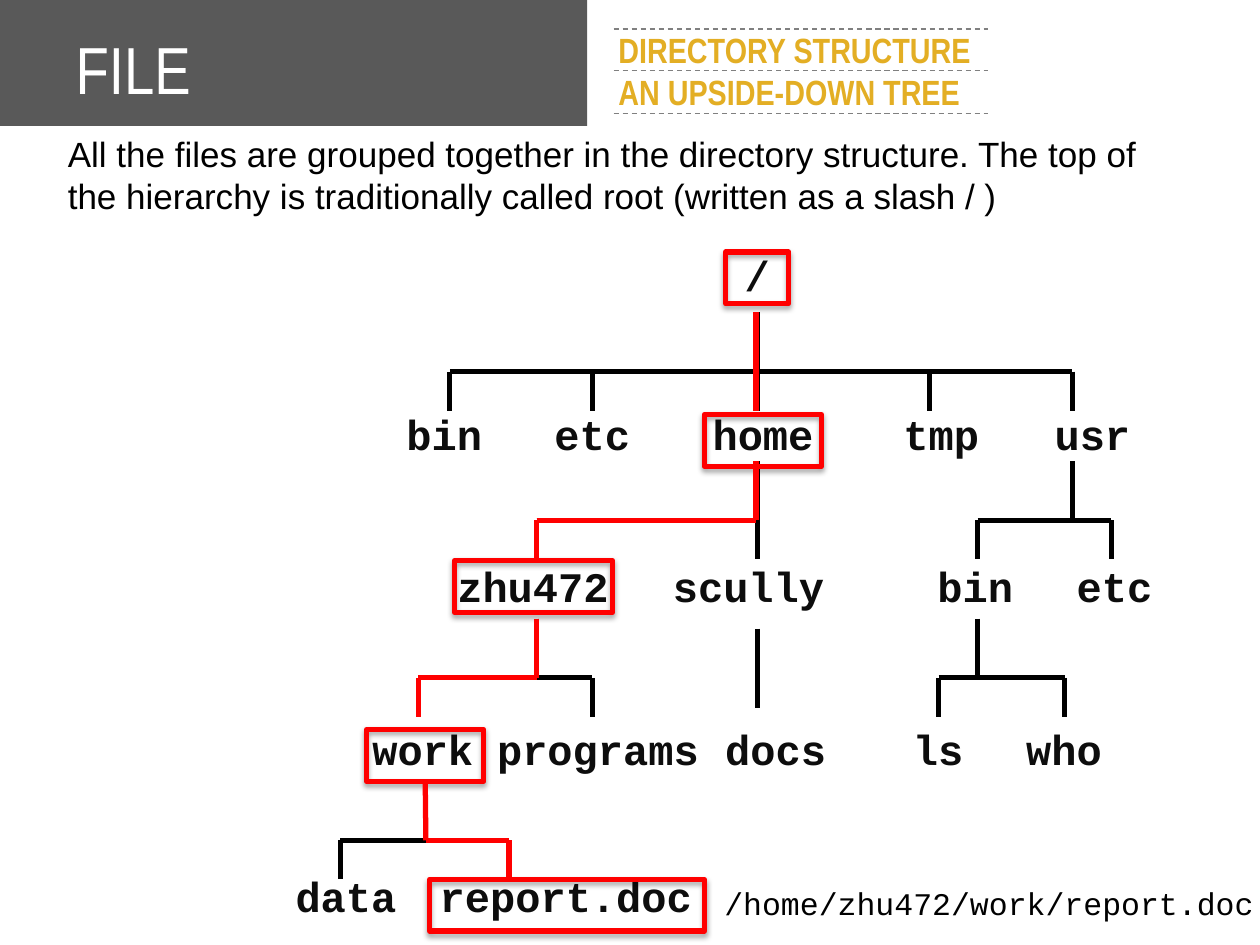
from dataclasses import dataclass

import pptx
import pptx.dml.color
import pptx.enum.dml
import pptx.enum.shapes
import pptx.enum.text
import pptx.oxml
import pptx.oxml.ns
import pptx.oxml.xmlchemy
import pptx.util

COLUMNS, ROWS = 100, 75  # grid over the whole slide
CELL = pptx.util.Inches(0.1)


@dataclass(frozen=True)
class Theme:
    band: str = "595959"
    rule: str = "808080"
    title: str = "FFFFFF"
    accent: str = "E3AE24"
    text: str = "000000"
    label: str = "0D0D0D"
    route: str = "FF0000"
    heading_font: str = "Arial Narrow"
    body_font: str = "Arial"
    code_font: str = "Courier New"
    title_size: int = 38
    body_size: int = 20
    label_size: int = 24
    path_size: int = 18
    stroke: float = 3
    thin: float = 0.75


THEME = Theme()

# Tree rows: label tops, then the top of the stem below each label
LABEL_TOPS = (0.3, 12.9, 25, 37.9, 49.6)
STEM_TOPS = (5.8, 17.6, 30.1, 43)
STEM, DROP = 4.7, 3.1
LABEL_HEIGHT, FRAME_HEIGHT = 5, 4.1

# Labels of each level: name, column, columns wide
LEVELS = (
    (("/", 38.6, 5),),
    (("bin", 10.8, 10.9), ("etc", 23, 10), ("home", 35.3, 12.5),
     ("tmp", 50.3, 10.8), ("usr", 61.9, 11.6)),
    (("zhu472", 13.8, 19), ("scully", 33, 14.8), ("bin", 54.4, 8),
     ("etc", 65.3, 8.3)),
    (("work", 6.1, 16.9), ("programs", 18.9, 19.1), ("docs", 37.3, 10.5),
     ("ls", 49.8, 11.3), ("who", 59.8, 11.3)),
    (("data", 0, 16.9), ("report.doc", 13.8, 24.2)),
)

# Branches: level, column of the stem, columns of the drops
BRANCHES = (
    (0, 41.1, (16.7, 28, 41.1, 54.8, 66.1)),
    (1, 41.1, (23.6, 41.1)),
    (1, 66.1, (58.6, 69.2)),
    (2, 23.6, (14.2, 28)),
    (2, 58.6, (55.5, 65.5)),
    (3, 14.8, (8, 21.4)),
)
ROUTE = ((0, 41, (41,)), (1, 41, (23.6,)), (2, 23.6, (14.2,)),
         (3, 14.8, (21.4,)))

# Frames along the route: name, column, row, columns wide
FRAMES = (("/", 38.6, 1, 5), ("home", 36.9, 13.9, 9.3),
          ("zhu472", 17.1, 25.5, 12.5), ("work", 10.1, 38.9, 9.3),
          ("report.doc", 15.1, 50.8, 21.8))


def place(box, column, row, *size):
    """Grid position inside a box, followed by an optional size, as lengths."""
    cells = (box[0] + column, box[1] + row, *size)
    return [round(cell * CELL) for cell in cells]


def rgb(color):
    return pptx.dml.color.RGBColor.from_string(color)


def write(shape, text, font, size, color, bold=False, align="LEFT"):
    frame = shape.text_frame
    frame.text = text
    frame.word_wrap = True
    frame.auto_size = pptx.enum.text.MSO_AUTO_SIZE.NONE
    for paragraph in frame.paragraphs:
        paragraph.alignment = getattr(pptx.enum.text.PP_ALIGN, align)
        for run in paragraph.runs:
            run.font.name, run.font.size = font, pptx.util.Pt(size)
            run.font.bold, run.font.color.rgb = bold, rgb(color)
    return frame


def add_line(slide, start, end, color, width=THEME.stroke, dash=None):
    line = slide.shapes.add_connector(
        pptx.enum.shapes.MSO_CONNECTOR.STRAIGHT, *start, *end)
    line.line.color.rgb = rgb(color)
    line.line.width = pptx.util.Pt(width)
    line.line.dash_style = dash
    line.element.spPr.append(pptx.oxml.xmlchemy.OxmlElement("a:effectLst"))
    return line


def add_rect(slide, bounds):
    rect = slide.shapes.add_shape(
        pptx.enum.shapes.MSO_SHAPE.RECTANGLE, *bounds)
    rect.shadow.inherit = False
    return rect


def add_header(slide, box):
    # Dark band behind the title
    band = add_rect(slide, place(box, 0, 0, 46.6, box[3]))
    band.fill.solid()
    band.fill.fore_color.rgb = rgb(THEME.band)
    band.line.fill.background()

    title = slide.shapes.title
    title.element.addprevious(band.element)
    title.left, title.top, title.width, title.height = place(
        box, 5, 1.8, 41.6, 7.2)
    frame = write(title, "FILE", THEME.heading_font, THEME.title_size,
                  THEME.title)
    frame.vertical_anchor = pptx.enum.text.MSO_ANCHOR.BOTTOM
    frame.paragraphs[0].line_spacing = 0.8

    # Subtitle on dashed rules
    for row in (2.3, 5.6, 9):
        add_line(slide, place(box, 48.7, row), place(box, 78.4, row),
                 THEME.rule, THEME.thin, pptx.enum.dml.MSO_LINE.DASH)
    subtitle = slide.shapes.add_textbox(*place(box, 48.1, 1.8, 47, 7.8))
    frame = write(subtitle, "DIRECTORY STRUCTURE\nAN UPSIDE-DOWN TREE",
                  THEME.heading_font, THEME.body_size, THEME.accent, True)
    for paragraph in frame.paragraphs:
        paragraph.line_spacing = pptx.util.Pt(24)


def add_text(slide, box, text, font, size):
    textbox = slide.shapes.add_textbox(*place(box, 0, 0, *box[2:]))
    write(textbox, text, font, size, THEME.text)


def add_branch(slide, box, level, stem, drops, color):
    """Draw stem, crossbar and drops; return the stem."""
    top = STEM_TOPS[level]
    bar = top + STEM
    trunk = add_line(slide, place(box, stem, top), place(box, stem, bar),
                     color)
    left, right = min(stem, *drops), max(stem, *drops)
    if left < right:
        add_line(slide, place(box, left, bar), place(box, right, bar), color)
    for drop in drops:
        add_line(slide, place(box, drop, bar), place(box, drop, bar + DROP),
                 color)
    return trunk


def add_frame(slide, box, column, row, width):
    frame = add_rect(slide, place(box, column, row, width, FRAME_HEIGHT))
    frame.fill.background()
    frame.line.color.rgb = rgb(THEME.route)
    frame.line.width = pptx.util.Pt(THEME.stroke)
    # Soft shadow straight down
    effects = frame.element.spPr.find(pptx.oxml.ns.qn("a:effectLst"))
    effects.append(pptx.oxml.parse_xml(
        f'<a:outerShdw {pptx.oxml.ns.nsdecls("a")} blurRad="39370" '
        'dist="22860" dir="5400000" rotWithShape="0">'
        '<a:srgbClr val="000000"><a:alpha val="35000"/></a:srgbClr>'
        '</a:outerShdw>'))
    return frame


def add_tree(slide, box):
    # Directory names
    for top, labels in zip(LABEL_TOPS, LEVELS):
        for name, column, width in labels:
            label = slide.shapes.add_textbox(
                *place(box, column, top, width, LABEL_HEIGHT))
            frame = write(label, name, THEME.code_font, THEME.label_size,
                          THEME.label, True, "CENTER")
            frame.margin_left = frame.margin_right = 0

    # Branches, and the single line from scully to docs
    for branch in BRANCHES:
        add_branch(slide, box, *branch, THEME.text)
    add_line(slide, place(box, 41.1, 30.9), place(box, 41.1, 37.2),
             THEME.text)

    # Highlighted route from the root to report.doc
    frames = {name: add_frame(slide, box, *bounds)
              for name, *bounds in FRAMES}
    stems = [add_branch(slide, box, *step, THEME.route) for step in ROUTE]
    stems[-1].begin_connect(frames["work"], 2)


def main():
    deck = pptx.Presentation()
    deck.slide_width, deck.slide_height = COLUMNS * CELL, ROWS * CELL
    slide = deck.slides.add_slide(deck.slide_layouts[5])
    add_header(slide, (0, 0, COLUMNS, 10))
    add_tree(slide, (19, 19, 74, 56))
    add_text(slide, (4.4, 10, 87.7, 7.7),
             "All the files are grouped together in the directory structure. "
             "The top of the hierarchy is traditionally called root "
             "(written as a slash / )", THEME.body_font, THEME.body_size)
    add_text(slide, (56.5, 69.7, 50, 4), "/home/zhu472/work/report.doc",
             THEME.code_font, THEME.path_size)
    deck.save("out.pptx")


if __name__ == "__main__":
    main()
